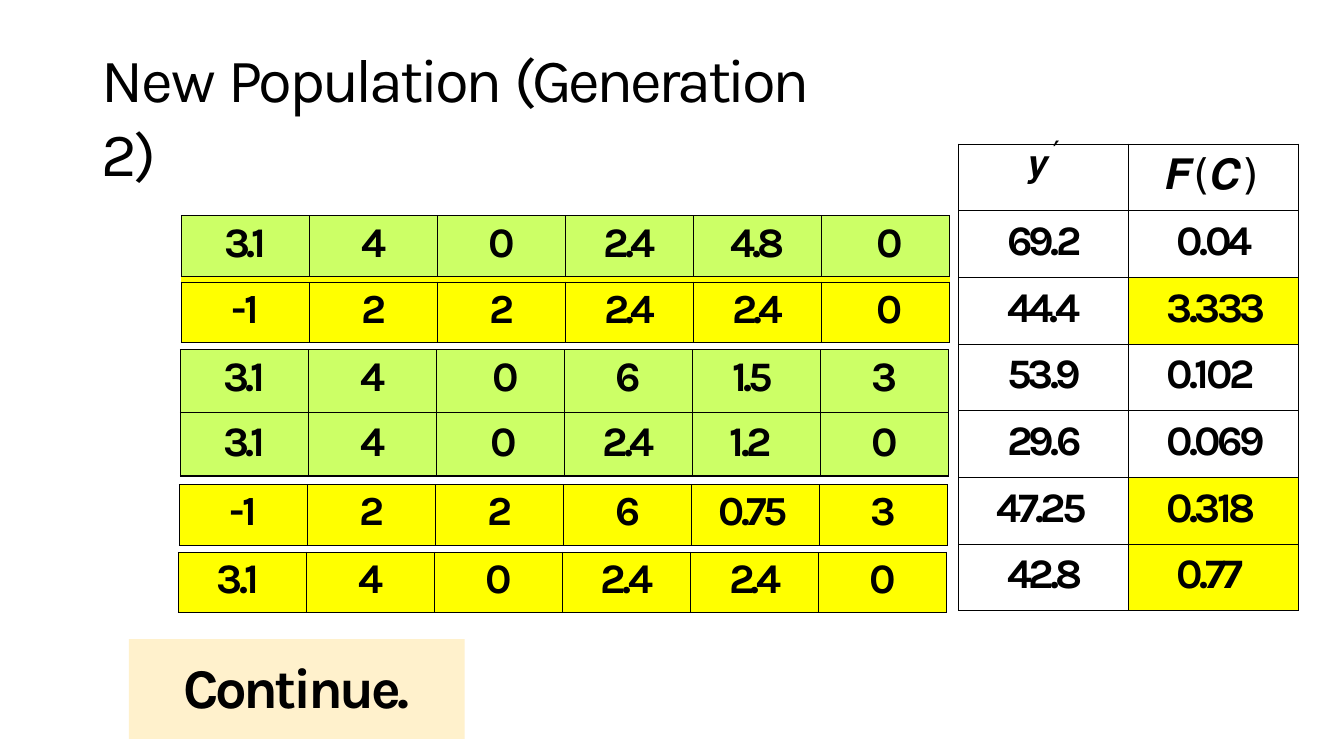
from dataclasses import dataclass

from lxml.etree import SubElement
from pptx import Presentation
from pptx.dml.color import RGBColor
from pptx.enum.shapes import MSO_SHAPE
from pptx.enum.text import MSO_ANCHOR, PP_ALIGN
from pptx.oxml.ns import qn
from pptx.util import Inches, Pt


@dataclass(frozen=True)
class Theme:
    ink: str = "000000"
    green: str = "CCFF66"
    yellow: str = "FFFF00"
    cream: str = "FFF1CC"
    font: str = "Karla"
    math_font: str = "DejaVu Sans"
    title: float = 44
    button: float = 40
    value: float = 30
    crossed_value: float = 29.5
    symbol: float = 45
    prime: float = 22
    border: float = 1


@dataclass(frozen=True)
class Run:
    text: str
    size: float
    spacing: float = 0
    bold: bool = False
    font: str = Theme.font
    baseline: int = 0


@dataclass(frozen=True)
class Cell:
    """A cell without an indent is centred; a cell without runs is a thin gap."""
    runs: tuple = ()
    fill: str = ""
    indent: float = 0
    top: float = 0
    line_spacing: float = 0
    sides: str = "LRTB"


class SlideBuilder:
    """Places elements on a grid of 100 columns by 100 rows."""

    def __init__(self, presentation, theme):
        self.theme = theme
        self.column = presentation.slide_width / 100
        self.row = presentation.slide_height / 100
        self.slide = presentation.slides.add_slide(presentation.slide_layouts[6])

    def place(self, left, top, width, height):
        return (round(left * self.column), round(top * self.row),
                round(width * self.column), round(height * self.row))

    def add_runs(self, paragraph, runs):
        for item in runs:
            run = paragraph.add_run()
            run.text = item.text
            run.font.name = item.font
            run.font.size = Pt(item.size)
            run.font.bold = item.bold
            run.font.color.rgb = RGBColor.from_string(self.theme.ink)
            properties = run.font._element
            properties.set("spc", str(round(item.spacing * 100)))
            if item.baseline:
                properties.set("baseline", str(item.baseline * 1000))

    def fill_frame(self, shape, runs, left=0, top=0):
        frame = shape.text_frame
        frame.word_wrap = True
        frame.vertical_anchor = MSO_ANCHOR.TOP
        frame.margin_left, frame.margin_top = Inches(left), Inches(top)
        frame.margin_right = frame.margin_bottom = 0
        frame.paragraphs[0].alignment = PP_ALIGN.LEFT
        self.add_runs(frame.paragraphs[0], runs)

    def text(self, place, runs, left, top):
        self.fill_frame(self.slide.shapes.add_textbox(*self.place(*place)), runs, left, top)

    def panel(self, place, color, runs, left, top):
        shape = self.slide.shapes.add_shape(MSO_SHAPE.RECTANGLE, *self.place(*place))
        shape.shadow.inherit = False
        shape.fill.solid()
        shape.fill.fore_color.rgb = RGBColor.from_string(color)
        shape.line.fill.background()
        self.fill_frame(shape, runs, left, top)

    def table(self, left, top, column_width, row_heights, rows):
        count = len(rows[0])
        place = self.place(left, top, column_width * count, sum(row_heights))
        table = self.slide.shapes.add_table(len(rows), count, *place).table
        table.first_row = table.horz_banding = False
        for column in table.columns:
            column.width = round(column_width * self.column)
        for table_row, height, cells in zip(table.rows, row_heights, rows):
            table_row.height = round(height * self.row)
            for table_cell, cell in zip(table_row.cells, cells):
                self.fill_cell(table_cell, cell)

    def fill_cell(self, table_cell, cell):
        table_cell.margin_left, table_cell.margin_top = Inches(cell.indent), Inches(cell.top)
        table_cell.margin_right = table_cell.margin_bottom = 0
        paragraph = table_cell.text_frame.paragraphs[0]
        paragraph.alignment = PP_ALIGN.LEFT if cell.indent else PP_ALIGN.CENTER
        if cell.line_spacing:
            paragraph.line_spacing = Pt(cell.line_spacing)
        if cell.runs:
            self.add_runs(paragraph, cell.runs)
        else:
            SubElement(paragraph._p, qn("a:endParaRPr"), sz="100")
        self.draw_borders(table_cell, cell.sides)
        if cell.fill:
            table_cell.fill.solid()
            table_cell.fill.fore_color.rgb = RGBColor.from_string(cell.fill)
        else:
            table_cell.fill.background()

    def draw_borders(self, table_cell, sides):
        properties = table_cell._tc.get_or_add_tcPr()
        for side in "LRTB":
            line = SubElement(properties, qn(f"a:ln{side}"), w=str(Pt(self.theme.border)))
            if side in sides:
                solid = SubElement(line, qn("a:solidFill"))
                SubElement(solid, qn("a:srgbClr"), val=self.theme.ink)
            else:
                SubElement(line, qn("a:noFill"))


def gene_row(values, fill, size, indents=None, top=0.03):
    """One chromosome; indents maps a column to its left indent."""
    spacings = {1: 0, 2: -2}
    return [Cell((Run(value, size, spacings.get(len(value), -2.6), True),), fill,
                 (indents or {}).get(column, 0), top)
            for column, value in enumerate(values.split())]


def result_row(prediction, fitness, fill=""):
    """Values of four characters start further in than longer ones."""
    return [Cell((Run(value, Theme.value, -2.6, True),), color,
                 0.48 if len(value) == 4 else 0.38, 0.06)
            for value, color in ((prediction, ""), (fitness, fill))]


def main():
    presentation = Presentation()
    presentation.slide_width, presentation.slide_height = Inches(13.33), Inches(7.5)
    theme = Theme()
    builder = SlideBuilder(presentation, theme)

    builder.text((7.5, 5.33, 56.18, 10.13), [
        Run("New ", theme.title, -1.6), Run("Population ", theme.title, -2.4),
        Run("(Generation ", theme.title, -2.5), Run("2)", theme.title, -1.9)], 0.01, 0.01)
    builder.panel((9.6, 84.53, 24.98, 13.2), theme.cream,
                  [Run("Continue.", theme.button, -2.5, True)], 0.54, 0.13)

    gene_width, gene_height = 9.53, 8
    gap_row = [Cell(fill=theme.yellow, sides="TB")] * 6
    chromosome_tables = [
        (13.5, 28.53, [gene_height, 0.8, gene_height], [
            gene_row("3.1 4 0 2.4 4.8 0", theme.green, theme.value, {5: 0.54}),
            gap_row,
            gene_row("-1 2 2 2.4 2.4 0", theme.yellow, theme.crossed_value, {5: 0.54})]),
        (13.28, 73.07, [gene_height], [
            gene_row("3.1 4 0 2.4 2.4 0", theme.yellow, theme.value,
                     {0: 0.38, 3: 0.38, 4: 0.38})]),
        (13.35, 64.13, [gene_height], [
            gene_row("-1 2 2 6 0.75 3", theme.yellow, theme.crossed_value, {4: 0.27})]),
        (13.43, 46.27, [8.35, 8.35], [
            gene_row("3.1 4 0 6 1.5 3", theme.green, theme.value, {2: 0.55, 4: 0.39}),
            gene_row("3.1 4 0 2.4 1.2 0", theme.green, theme.value,
                     {2: 0.53, 4: 0.37}, 0.05)]),
    ]
    for left, top, heights, rows in chromosome_tables:
        builder.table(left, top, gene_width, heights, rows)

    header = [
        Cell((Run("𝒚", theme.symbol, 2.1, font=theme.math_font, baseline=-20),
              Run("′", theme.prime, 1.4, font=theme.math_font)), line_spacing=29.2),
        Cell((Run("𝑭(𝑪)", theme.value, 0.8, font=theme.math_font),), indent=0.37, top=0.06),
    ]
    results = [
        ("69.2", "0.04"), ("44.4", "3.333", theme.yellow), ("53.9", "0.102"),
        ("29.6", "0.069"), ("47.25", "0.318", theme.yellow), ("42.8", "0.77", theme.yellow),
    ]
    rows = [header] + [result_row(*result) for result in results]
    builder.table(71.33, 19.07, 12.63, [8.82] * len(rows), rows)

    presentation.save("out.pptx")


if __name__ == "__main__":
    main()
